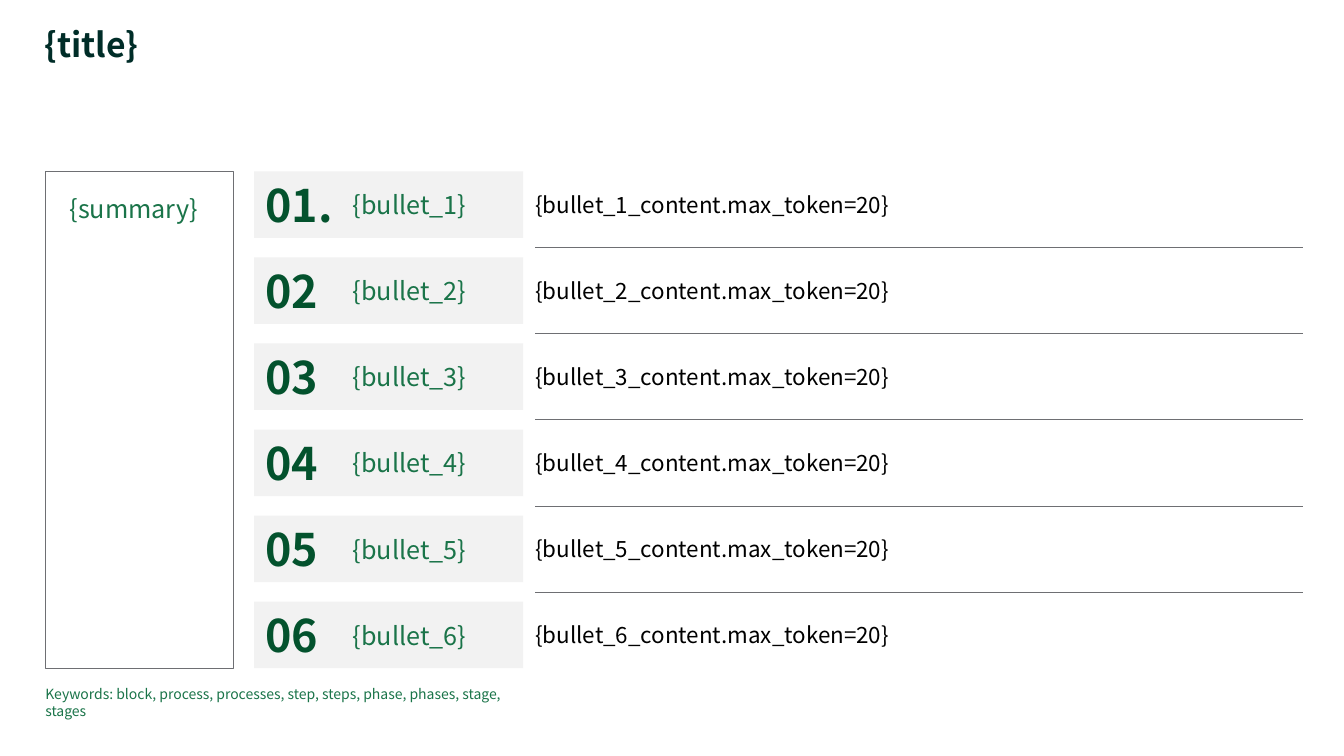
from dataclasses import dataclass

import pptx
import pptx.dml.color
import pptx.enum.shapes
import pptx.enum.text
import pptx.oxml
import pptx.oxml.ns
import pptx.util

RGB = pptx.dml.color.RGBColor
Anchor = pptx.enum.text.MSO_ANCHOR
Inches = pptx.util.Inches

INK = RGB(0x00, 0x2D, 0x28)
DEEP = RGB(0x03, 0x52, 0x2D)
GREEN = RGB(0x1A, 0x74, 0x49)
BLACK = RGB(0x00, 0x00, 0x00)
GREY = RGB(0x6E, 0x6F, 0x73)
PALE = RGB(0xF2, 0xF2, 0xF2)
FONT = "Noto Sans CJK JP"


@dataclass(frozen=True)
class Col:
    left: float
    width: float


@dataclass(frozen=True)
class Row:
    top: float
    height: float

    def inner(self, height: float) -> "Row":
        """Give a lower row centred in this one."""
        return Row(self.top + (self.height - height) / 2, height)


@dataclass(frozen=True)
class Style:
    size: float
    color: RGB
    bold: bool = False
    anchor: Anchor = Anchor.MIDDLE
    insets: tuple[float, float, float, float] = (0, 0, 0, 0)
    line: float | None = None
    after: float | None = None


@dataclass(frozen=True)
class Step:
    number: str
    label: str
    content: str


# Grid of columns and rows, in inches
HEAD = Col(0.44, 11.03)
SIDE = Col(0.45, 1.87)
BAND = Col(2.52, 2.67)
NUMBER = Col(2.63, 0.69)
BODY = Col(5.31, 7.61)
NOTE = Col(0.45, 4.93)
MAIN = Row(1.7, 4.93)
BAR = 0.66

# Text styles
TITLE = Style(24, INK, bold=True, anchor=Anchor.TOP, line=0.9)
SUMMARY = Style(18, GREEN, anchor=Anchor.TOP, insets=(0.24, 0.16, 0.24, 0),
                line=1.2, after=12)
LABEL = Style(18, GREEN, insets=(0.98, 0.08, 0.24, 0.08))
DIGIT = Style(32, DEEP, bold=True)
CONTENT = Style(16, BLACK)
KEYWORDS = Style(10, GREEN, anchor=Anchor.TOP)

STEPS = [
    Step("01." if n == 1 else f"{n:02}", f"{{bullet_{n}}}",
         f"{{bullet_{n}_content.max_token=20}}")
    for n in range(1, 7)
]
PITCH = (MAIN.height - BAR) / (len(STEPS) - 1)


def place(col: Col, row: Row) -> list[int]:
    return [Inches(v) for v in (col.left, row.top, col.width, row.height)]


def write(shape, text: str, style: Style) -> None:
    frame = shape.text_frame
    frame.word_wrap = True
    frame.auto_size = pptx.enum.text.MSO_AUTO_SIZE.NONE
    frame.vertical_anchor = style.anchor
    (frame.margin_left, frame.margin_top,
     frame.margin_right, frame.margin_bottom) = map(Inches, style.insets)
    frame.text = text
    para = frame.paragraphs[0]
    para.alignment = pptx.enum.text.PP_ALIGN.LEFT
    if style.line is not None:
        para.line_spacing = style.line
    if style.after is not None:
        para.space_after = pptx.util.Pt(style.after)
    para.font.name = FONT
    para.font.size = pptx.util.Pt(style.size)
    para.font.bold = style.bold
    para.font.color.rgb = style.color


def label(slide, col: Col, row: Row, text: str, style: Style) -> None:
    write(slide.shapes.add_textbox(*place(col, row)), text, style)


def box(slide, col: Col, row: Row, text: str, style: Style,
        fill: RGB | None = None, edge: RGB | None = None) -> None:
    shape = slide.shapes.add_shape(
        pptx.enum.shapes.MSO_SHAPE.RECTANGLE, *place(col, row))
    shape.shadow.inherit = False
    if fill is None:
        shape.fill.background()
    else:
        shape.fill.solid()
        shape.fill.fore_color.rgb = fill
    if edge is None:
        shape.line.fill.background()
    else:
        shape.line.color.rgb = edge
        shape.line.width = pptx.util.Pt(0.5)
    write(shape, text, style)


def rule(slide, col: Col, y: float) -> None:
    line = slide.shapes.add_connector(
        pptx.enum.shapes.MSO_CONNECTOR.STRAIGHT,
        Inches(col.left), Inches(y), Inches(col.left + col.width), Inches(y))
    line.line.color.rgb = GREY
    line.line.width = pptx.util.Pt(0.5)
    props = line._element.spPr
    props.append(pptx.oxml.parse_xml(
        f'<a:effectLst {pptx.oxml.ns.nsdecls("a")}/>'))


def main() -> None:
    deck = pptx.Presentation()
    deck.slide_width, deck.slide_height = Inches(13.33), Inches(7.5)
    slide = deck.slides.add_slide(deck.slide_layouts.get_by_name("Title Only"))

    # Title
    title = slide.shapes.title
    title.left, title.top, title.width, title.height = place(
        HEAD, Row(0.28, 0.37))
    write(title, "{title}", TITLE)

    # Summary panel
    box(slide, SIDE, MAIN, "{summary}", SUMMARY, edge=GREY)

    # Steps, with a rule midway between neighbours
    for i, step in enumerate(STEPS):
        row = Row(MAIN.top + i * PITCH, BAR)
        box(slide, BAND, row, step.label, LABEL, fill=PALE)
        label(slide, NUMBER, row.inner(0.51), step.number, DIGIT)
        label(slide, BODY, row.inner(0.27), step.content, CONTENT)
        if i:
            rule(slide, BODY, row.top - (PITCH - BAR) / 2)

    # Keywords
    label(slide, NOTE, Row(6.8, 0.17),
          "Keywords: block, process, processes, step, steps, phase, phases, "
          "stage, stages", KEYWORDS)

    deck.save("out.pptx")


if __name__ == "__main__":
    main()
